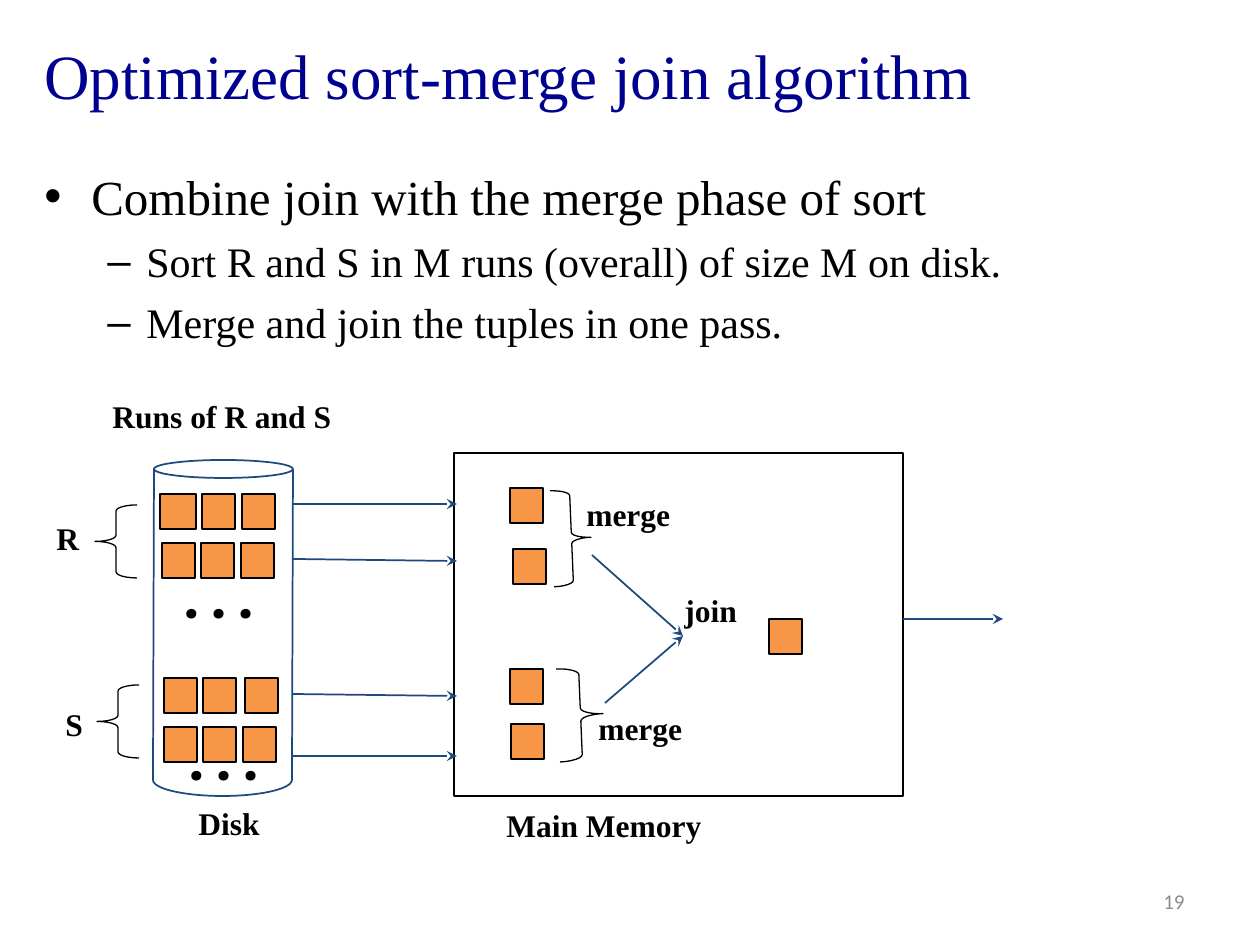
from lxml.etree import SubElement
from pptx import Presentation
from pptx.dml.color import RGBColor
from pptx.enum.shapes import MSO_CONNECTOR as Connector, MSO_SHAPE as Shape
from pptx.enum.text import MSO_ANCHOR as Anchor, PP_ALIGN as Align
from pptx.oxml.ns import qn
from pptx.util import Emu, Inches, Pt

NAVY = RGBColor(0x00, 0x00, 0x90)
BLUE = RGBColor(0x1F, 0x49, 0x7D)
ORANGE = RGBColor(0xF7, 0x96, 0x46)
BLACK = RGBColor(0, 0, 0)
GRAY = RGBColor(0x8C, 0x8C, 0x8C)

SERIF = "Times New Roman"
PIXELS_PER_INCH = 126
TILE_WIDTH, TILE_HEIGHT = 33, 35


def px(*lengths):
    """Turn pixel lengths into EMU."""
    return [Emu(round(length * 914400 / PIXELS_PER_INCH)) for length in lengths]


def add_bullet(paragraph, character, left, hanging):
    properties = paragraph._p.get_or_add_pPr()
    margin, indent = px(left, -hanging)
    properties.set("marL", str(margin))
    properties.set("indent", str(indent))
    SubElement(properties, qn("a:buFont")).set("typeface", "Arial")
    SubElement(properties, qn("a:buChar")).set("char", character)


def format_paragraph(paragraph, text, size=18, font=SERIF, color=BLACK,
                     bold=False, align=Align.LEFT):
    paragraph.alignment = align
    run = paragraph.add_run()
    run.text = text
    run.font.size = Pt(size)
    run.font.name = font
    run.font.bold = bold
    run.font.color.rgb = color


def add_text(slide, box, text, wrap=True, anchor=Anchor.TOP, **text_format):
    frame = slide.shapes.add_textbox(*px(*box)).text_frame
    frame.word_wrap = wrap
    frame.vertical_anchor = anchor
    format_paragraph(frame.paragraphs[0], text, **text_format)
    return frame


def add_label(slide, box, text, **text_format):
    add_text(slide, box, text, wrap=False, bold=True, **text_format)


def add_outline(slide, kind, box, color=BLACK, width=1, fill=None,
                adjustments=(), rotation=0):
    shape = slide.shapes.add_shape(kind, *px(*box))
    shape.shadow.inherit = False
    shape.rotation = rotation
    shape.line.color.rgb = color
    shape.line.width = Pt(width)
    if fill is None:
        shape.fill.background()
    else:
        shape.fill.solid()
        shape.fill.fore_color.rgb = fill
    for index, value in enumerate(adjustments):
        shape.adjustments[index] = value


def add_tile(slide, left, top, width=TILE_WIDTH):
    add_outline(slide, Shape.RECTANGLE, (left, top, width, TILE_HEIGHT),
                fill=ORANGE)


def add_brace(slide, box, rotation=0):
    add_outline(slide, Shape.LEFT_BRACE, box, width=0.75,
                adjustments=(0.146, 0.5), rotation=rotation)


def add_line(slide, ends, arrow=False):
    line = slide.shapes.add_connector(Connector.STRAIGHT, *px(*ends))
    line.line.color.rgb = BLUE
    line.line.width = Pt(1)
    if arrow:
        SubElement(line.line._get_or_add_ln(), qn("a:tailEnd")).set("type", "stealth")
    SubElement(line._element.spPr, qn("a:effectLst"))


def add_outline_text(slide):
    add_text(slide, (32, 6, 1203, 136), "Optimized sort-merge join algorithm",
             anchor=Anchor.MIDDLE, size=36, color=NAVY)
    frame = add_text(slide, (32, 160, 1203, 212),
                     "Combine join with the merge phase of sort", size=28)
    for text in ("Sort R and S in M runs (overall) of size M on disk.",
                 "Merge and join the tuples in one pass."):
        paragraph = frame.add_paragraph()
        paragraph.level = 1
        format_paragraph(paragraph, text, size=24)
    for paragraph in frame.paragraphs:
        paragraph.space_before = Pt(6)
        if paragraph.level:
            add_bullet(paragraph, "–", 102, 39)
        else:
            add_bullet(paragraph, "•", 47, 47)
    add_text(slide, (903, 876, 294, 50), "19", anchor=Anchor.MIDDLE, size=12,
             font="Calibri", color=GRAY, align=Align.RIGHT)


def add_disk(slide):
    # Cylinder
    add_outline(slide, Shape.OVAL, (154, 460, 139, 18), color=BLUE)
    for top_x, bottom_x in ((154, 153), (293, 292)):
        add_line(slide, (top_x, 469, bottom_x, 780))
    add_outline(slide, Shape.ARC, (153, 764, 139, 32), color=BLUE,
                adjustments=(0, 108))

    # Runs stored on disk
    add_tile(slide, 160, 494, width=36)
    for top, lefts in ((494, (202, 242)), (543, (162, 201, 241)),
                       (678, (164, 203, 245)), (727, (164, 203, 243))):
        for left in lefts:
            add_tile(slide, left, top)
    for left, top in ((171, 556), (176, 718)):
        add_label(slide, (left, top, 96, 81), ". . .", size=32, font="Vollkorn")

    # Names of the relations
    for left, top in ((95, 505), (97, 685)):
        add_brace(slide, (left, top, 42, 73))
    add_label(slide, (44, 513, 48, 50), "R")
    add_label(slide, (53, 699, 43, 50), "S")
    add_label(slide, (100, 391, 247, 50), "Runs of R and S")
    add_label(slide, (186, 798, 87, 50), "Disk")


def add_memory(slide):
    add_outline(slide, Shape.RECTANGLE, (454, 453, 449, 343))
    add_label(slide, (494, 800, 223, 50), "Main Memory")

    # Buffers
    for left, top in ((510, 488), (513, 549), (510, 669), (511, 724), (769, 619)):
        add_tile(slide, left, top)

    # Merge and join steps
    for box in ((552, 490, 39, 96), (558, 668, 45, 93)):
        add_brace(slide, box, rotation=177.6)
    for left, top in ((574, 489), (586, 703)):
        add_label(slide, (left, top, 111, 50), "merge")
    add_label(slide, (672, 585, 81, 50), "join")


def add_arrows(slide):
    for start_y, end_y in ((504, 504), (559, 561), (694, 696), (756, 756)):
        add_line(slide, (293, start_y, 457, end_y), arrow=True)
    for start in ((592, 555), (605, 703)):
        add_line(slide, (*start, 683, 636), arrow=True)
    add_line(slide, (903, 619, 1003, 619), arrow=True)


def main():
    presentation = Presentation()
    presentation.slide_width = Inches(10)
    presentation.slide_height = Inches(7.5)
    slide = presentation.slides.add_slide(presentation.slide_layouts[6])
    add_outline_text(slide)
    add_disk(slide)
    add_memory(slide)
    add_arrows(slide)
    presentation.save("out.pptx")


main()
